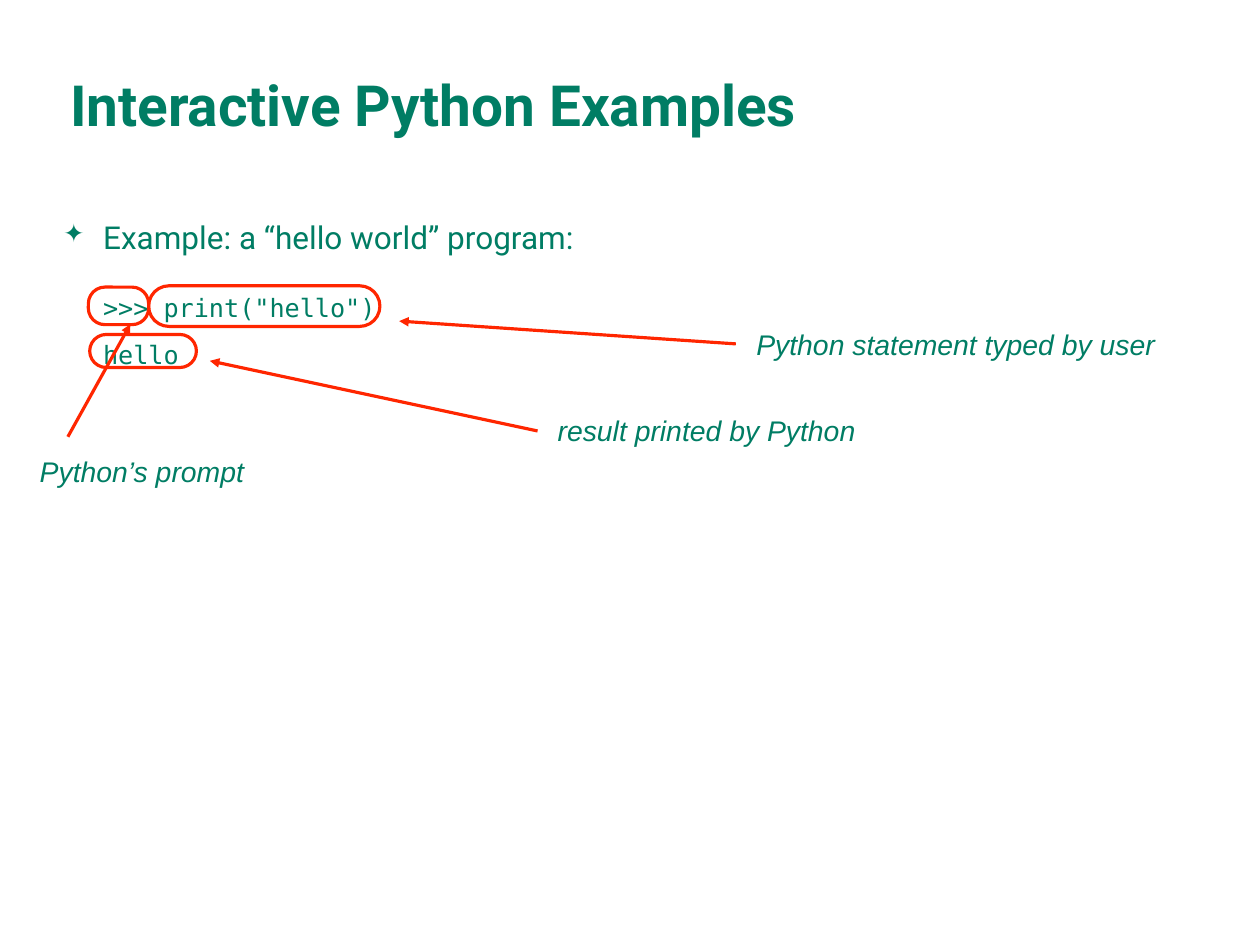
from dataclasses import dataclass

from lxml.etree import SubElement
from pptx import Presentation
from pptx.dml.color import RGBColor
from pptx.enum.shapes import MSO_CONNECTOR, MSO_SHAPE
from pptx.enum.text import MSO_ANCHOR
from pptx.oxml.ns import qn
from pptx.util import Cm, Pt


@dataclass(frozen=True)
class Theme:
    green: RGBColor = RGBColor(0x00, 0x7D, 0x64)
    red: RGBColor = RGBColor(0xFF, 0x26, 0x00)
    heading_font: str = "Roboto"
    code_font: str = "DejaVu Sans Mono"
    label_font: str = "Arial"
    title_size: Pt = Pt(36)
    body_size: Pt = Pt(20)
    label_size: Pt = Pt(18)
    code_size: Pt = Pt(16)
    line_width: Pt = Pt(2)


theme = Theme()


def add_text_box(left, top, width, height, margin=0.15, wrap=True, anchor=MSO_ANCHOR.MIDDLE):
    frame = slide.shapes.add_textbox(Cm(left), Cm(top), Cm(width), Cm(height)).text_frame
    frame.margin_left = frame.margin_right = Cm(margin)
    frame.margin_top = frame.margin_bottom = Cm(margin)
    frame.word_wrap = wrap
    frame.vertical_anchor = anchor
    return frame


def write(paragraph, text, font, size, bold=False, italic=False, space_before=0):
    paragraph.space_before = Pt(space_before)
    run = paragraph.add_run()
    run.text = text
    run.font.name = font
    run.font.size = size
    run.font.bold = bold
    run.font.italic = italic
    run.font.color.rgb = theme.green


presentation = Presentation()
presentation.slide_width = Cm(28.22)
presentation.slide_height = Cm(21.16)
slide = presentation.slides.add_slide(presentation.slide_layouts[6])

# Title
title = add_text_box(1.42, 0.56, 24.69, 3.53)
write(title.paragraphs[0], "Interactive Python Examples",
      theme.heading_font, theme.title_size, bold=True)

# Bullet and code lines
body = add_text_box(1.42, 4.88, 24.69, 14.78, margin=0, anchor=MSO_ANCHOR.TOP)
indent = Cm(0.89)
bullet = body.paragraphs[0]
write(bullet, "Example: a “hello world” program:", theme.heading_font, theme.body_size)
properties = bullet._p.get_or_add_pPr()
properties.set("marL", str(indent))
properties.set("indent", str(-indent))
SubElement(properties, qn("a:buSzPct"), val="80000")
SubElement(properties, qn("a:buChar"), char="✦")

for code, space_before in ((">>> print(\"hello\")", 23), ("hello", 11)):
    paragraph = body.add_paragraph()
    write(paragraph, code, theme.code_font, theme.code_size, space_before=space_before)
    paragraph._p.get_or_add_pPr().set("indent", str(indent))

# Callouts: label box, outline (box and corner rounding), arrow from label to outline
callouts = (
    ("Python’s prompt", (0.74, 10.03, 4.98, 1.04),
     (1.98, 6.43, 1.35, 0.84), 0.44, (1.52, 9.78, 2.92, 7.26)),
    ("Python statement typed by user", (16.79, 7.19, 9.32, 1.04),
     (3.33, 6.4, 5.18, 0.91), 0.5, (16.48, 7.7, 8.94, 7.19)),
    ("result printed by Python", (12.34, 9.12, 7.06, 1.04),
     (2.01, 7.49, 2.39, 0.74), 0.5, (12.04, 9.65, 4.7, 8.08)),
)
for text, label_box, outline_box, rounding, arrow_ends in callouts:
    label = add_text_box(*label_box, wrap=False)
    write(label.paragraphs[0], text, theme.label_font, theme.label_size, italic=True)

    outline = slide.shapes.add_shape(MSO_SHAPE.ROUNDED_RECTANGLE, *map(Cm, outline_box))
    outline.adjustments[0] = rounding
    outline.shadow.inherit = False
    outline.fill.background()

    arrow = slide.shapes.add_connector(MSO_CONNECTOR.STRAIGHT, *map(Cm, arrow_ends))
    for shape in (outline, arrow):
        shape.line.color.rgb = theme.red
        shape.line.width = theme.line_width
    SubElement(arrow.line._get_or_add_ln(), qn("a:tailEnd"), type="triangle")
    SubElement(arrow._element.spPr, qn("a:effectLst"))

presentation.save("out.pptx")
